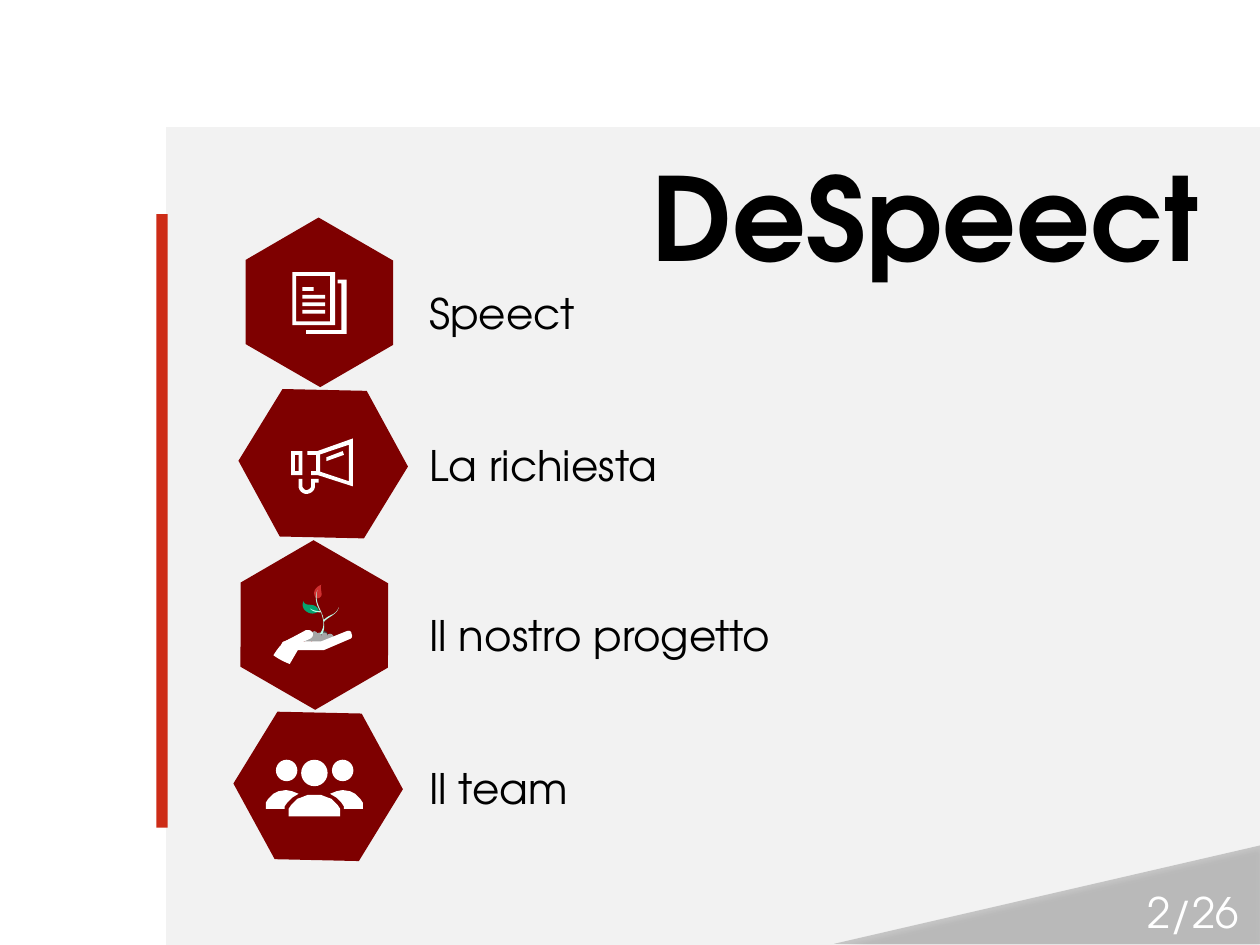
from dataclasses import dataclass

from lxml.etree import SubElement
from pptx import Presentation
from pptx.dml.color import RGBColor
from pptx.enum.shapes import MSO_SHAPE as Preset
from pptx.enum.text import MSO_ANCHOR as Anchor, MSO_AUTO_SIZE as AutoSize, PP_ALIGN as Align
from pptx.oxml.ns import qn
from pptx.util import Pt

COLORS = {
    "panel": "F2F2F2", "accent": "CD2C17", "badge": "7E0000", "white": "FFFFFF", "black": "000000",
    "leaf": "04A46F", "bud": "D03030", "stem": "BCFDE8", "soil": "A6A6A6", "stone": "404040",
}
FONT = "TeX Gyre Adventor"
GRID = 0.72
LABEL_LEFT = 238.3
BADGE_TOP, BADGE_STEP = 131.04, 92.2
BADGE_WIDTH, BADGE_HEIGHT = 97.2, 83.5


@dataclass(frozen=True)
class Frame:
    left: float
    top: float
    width: float
    height: float

    def lengths(self) -> tuple:
        return Pt(self.left), Pt(self.top), Pt(self.width), Pt(self.height)


@dataclass(frozen=True)
class Topic:
    label: str
    badge_left: float
    turn: float
    label_top: float
    label_width: float
    label_height: float
    anchor: Anchor = Anchor.MIDDLE


@dataclass(frozen=True)
class Outline:
    color: str
    contours: list


TOPICS = [
    Topic("Speect", 133.9, 30, 160.6, 110.2, 20.2, Anchor.TOP),
    Topic("La richiesta", 136.1, 61.4, 255.6, 165.6, 20.2),
    Topic("Il nostro progetto", 131, 30, 353.5, 213.8, 18.7),
    Topic("Il team", 133.2, 61.4, 439.9, 110.2, 20.2),
]

DOCUMENT = [
    Outline("white", [
        [(266, 258), (232, 258), (232, 216), (266, 216)],
        [(235, 255), (262, 255), (262, 219), (235, 219)],
    ]),
    Outline("white", [[(275, 265), (243, 265), (243, 262), (271, 262), (271, 225),
                       (268, 225), (268, 222), (275, 222)]]),
]
MEGAPHONE = [
    Outline("white", [[(254, 377), (247, 377), (247, 374), (251, 374), (251, 361),
                       (244, 361), (244, 358), (254, 358)]]),
    Outline("white", [[(280, 386), (252, 377), (253, 374), (277, 382), (277, 353),
                       (253, 361), (252, 358), (280, 348)]]),
    Outline("white", [[(259, 366), (259, 363), (272, 358), (273, 361)]]),
    Outline("white", [
        [(240, 377), (231, 377), (231, 358), (240, 358)],
        [(234, 374), (237, 374), (237, 361), (234, 361)],
    ]),
    Outline("white", [[(243, 392), (240, 392, 237, 389, 237, 386), (237, 380), (240, 380), (240, 386),
                       (240, 387, 242, 389, 243, 389), (245, 389, 247, 387, 247, 386), (247, 380),
                       (253, 380), (253, 383), (250, 383), (250, 386), (250, 389, 247, 392, 243, 392)]]),
]
LEAVES = [
    Outline("leaf", [[(241, 477), (241, 480, 245, 480, 247, 480), (253, 481, 253, 485, 253, 485),
                      (253, 485, 251, 487, 248, 487), (244, 487, 238, 483, 241, 477)]]),
    Outline("badge", [[(269, 479), (269, 479, 271, 485, 270, 487), (267, 492, 264, 490, 259, 491),
                       (259, 491, 258, 489, 259, 486), (261, 482, 268, 483, 269, 479)]]),
    Outline("bud", [[(251, 475), (254, 475, 256, 473, 255, 470), (255, 468, 254, 466, 255, 464),
                     (255, 464, 252, 465, 250, 468), (248, 472, 251, 475, 251, 475)]]),
]
HAND = [
    Outline("white", [[(227, 516), (257, 516), (278, 507), (279, 507, 280, 505, 279, 503),
                       (279, 501, 277, 500, 275, 501), (255, 509), (227, 509),
                       (225, 509, 223, 511, 223, 513), (223, 514, 225, 516, 227, 516)]]),
    Outline("white", [[(227, 515), (228, 515), (235, 512, 246, 507, 246, 507),
                       (248, 506, 249, 504, 248, 502), (247, 500, 245, 500, 243, 500),
                       (243, 500, 232, 506, 226, 509), (224, 509, 223, 511, 224, 513),
                       (225, 514, 226, 515, 227, 515)]]),
    Outline("white", [[(230, 508), (230, 508, 227, 507, 223, 512), (221, 514, 219, 517, 217, 520),
                       (222, 524, 230, 527, 230, 527), (237, 515), (237, 515, 244, 512, 239, 512),
                       (237, 512, 233, 513, 234, 513), (237, 513, 236, 508, 230, 508)]]),
    Outline("stem", [[(254, 503), (259, 496, 256, 491, 255, 486), (250, 486, 248, 485, 246, 483),
                      (250, 485, 252, 485, 254, 485), (252, 481, 249, 476, 252, 468),
                      (249, 479, 256, 484, 257, 492), (262, 487, 266, 489, 269, 482),
                      (268, 488, 259, 490, 257, 494), (258, 497, 257, 501, 256, 503)]]),
]
PEBBLES = [
    (259, 503, 6, "soil"), (249, 502, 9, "soil"), (255, 501, 5, "stone"), (255, 502, 5, "soil"),
    (255, 505, 5, "soil"), (247, 505, 5, "soil"), (244, 503, 6, "soil"), (247, 501, 5, "soil"),
    (242, 506, 5, "soil"),
]
TEAM_AXIS = 249.5
FRONT_HALF = [(249.5, 631), (255, 631), (260, 633), (263, 634), (266, 637), (268, 639), (270, 642), (270, 648)]
SIDE_BODY = [(272, 627), (267, 628), (262, 630), (267, 633), (271, 637), (273, 640), (273, 642),
             (288, 642), (288, 637), (286, 634), (282, 630), (278, 628)]


def rgb(name: str) -> RGBColor:
    return RGBColor.from_string(COLORS[name])


def cell(left: float, top: float, width: float, height: float) -> Frame:
    return Frame(left * GRID, top * GRID, width * GRID, height * GRID)


def paint(shape, color: str):
    shape.shadow.inherit = False
    shape.fill.solid()
    shape.fill.fore_color.rgb = rgb(color)
    shape.line.fill.background()
    return shape


def add_preset(page, preset: Preset, frame: Frame, color: str):
    return paint(page.shapes.add_shape(preset, *frame.lengths()), color)


def flatten(contour: list, steps: int = 8) -> list:
    points = [contour[0]]
    for segment in contour[1:]:
        if len(segment) == 2:
            points.append(segment)
            continue
        corners = [points[-1], segment[:2], segment[2:4], segment[4:]]
        for step in range(1, steps + 1):
            t = step / steps
            weights = ((1 - t) ** 3, 3 * t * (1 - t) ** 2, 3 * t * t * (1 - t), t ** 3)
            points.append(tuple(sum(w * c[axis] for w, c in zip(weights, corners)) for axis in (0, 1)))
    return [(Pt(x * GRID), Pt(y * GRID)) for x, y in points]


def add_outline(page, outline: Outline) -> None:
    first, *others = [flatten(contour) for contour in outline.contours]
    builder = page.shapes.build_freeform(*first[0])
    builder.add_line_segments(first[1:], close=True)
    for points in others:
        builder.move_to(*points[0])
        builder.add_line_segments(points[1:], close=True)
    paint(builder.convert_to_shape(), outline.color)


def mirror(points: list) -> list:
    return [(2 * TEAM_AXIS - x, y) for x, y in points]


def write(box, text: str, size: float, color: str, align: Align = Align.LEFT, bold: bool = False) -> None:
    box.text_frame.text = text
    para = box.text_frame.paragraphs[0]
    para.alignment = align
    para.font.name, para.font.size, para.font.bold = FONT, Pt(size), bold
    para.font.color.rgb = rgb(color)


def add_text(page, frame: Frame, text: str, color: str, anchor: Anchor, align: Align = Align.LEFT) -> None:
    box = page.shapes.add_textbox(*frame.lengths())
    box.text_frame.word_wrap = True
    box.text_frame.vertical_anchor = anchor
    write(box, text, 24, color, align)


def add_topic(page, topic: Topic, row: int) -> None:
    frame = Frame(topic.badge_left, BADGE_TOP + row * BADGE_STEP, BADGE_WIDTH, BADGE_HEIGHT)
    badge = add_preset(page, Preset.HEXAGON, frame, "badge")
    badge.adjustments[0] = 0.287
    badge.rotation = topic.turn
    label = Frame(LABEL_LEFT, topic.label_top, topic.label_width, topic.label_height)
    add_text(page, label, topic.label, "black", topic.anchor)


def add_icons(page) -> None:
    for outline in DOCUMENT + MEGAPHONE + LEAVES:
        add_outline(page, outline)
    for top, width in ((228, 9), (234, 18), (240, 18), (246, 18)):
        add_preset(page, Preset.RECTANGLE, cell(240, top, width, 3), "white")
    for left, top, size, color in PEBBLES:
        add_preset(page, Preset.OVAL, cell(left, top, size, size), color)
    for outline in HAND:
        add_outline(page, outline)
    for left, size in ((239, 21), (263.5, 17), (219, 17)):
        add_preset(page, Preset.OVAL, cell(left, 603, size, size), "white")
    for body in (FRONT_HALF + mirror(FRONT_HALF)[::-1], SIDE_BODY, mirror(SIDE_BODY)):
        add_outline(page, Outline("white", [body]))


def add_corner(page) -> None:
    corner = add_preset(page, Preset.ISOSCELES_TRIANGLE, Frame(476.6, 483.1, 243.4, 56.2), "black")
    corner.adjustments[0] = 1
    fill = corner.element.spPr.find(qn("a:solidFill"))
    SubElement(fill[0], qn("a:alpha"), val="18000")
    effects = corner.element.spPr.find(qn("a:effectLst"))
    shadow = SubElement(effects, qn("a:outerShdw"), blurRad=str(Pt(3.1)), dist=str(Pt(1.8)),
                        dir="5400000", rotWithShape="0")
    tint = SubElement(shadow, qn("a:srgbClr"), val=COLORS["black"])
    SubElement(tint, qn("a:alpha"), val="35000")


def main() -> None:
    deck = Presentation()
    deck.slide_width, deck.slide_height = Pt(720), Pt(540)
    page = deck.slides.add_slide(deck.slide_layouts[5])
    title = page.shapes.title
    title.left, title.top, title.width, title.height = Frame(365, 79.9, 330.5, 87.1).lengths()
    title.text_frame.word_wrap = False
    title.text_frame.auto_size = AutoSize.SHAPE_TO_FIT_TEXT
    title.text_frame.vertical_anchor = Anchor.TOP
    write(title, "DeSpeect", 66, "black", bold=True)
    panel = add_preset(page, Preset.RECTANGLE, Frame(95, 72.7, 625, 467.3), "panel")
    title.element.addprevious(panel.element)
    for row, topic in enumerate(TOPICS):
        add_topic(page, topic, row)
    add_icons(page)
    add_preset(page, Preset.RECTANGLE, Frame(89.3, 122.4, 6.5, 350.6), "accent")
    add_corner(page)
    add_text(page, Frame(645.1, 503.3, 69.8, 28.8), "2/26", "white", Anchor.TOP, Align.RIGHT)
    deck.save("out.pptx")


if __name__ == "__main__":
    main()
